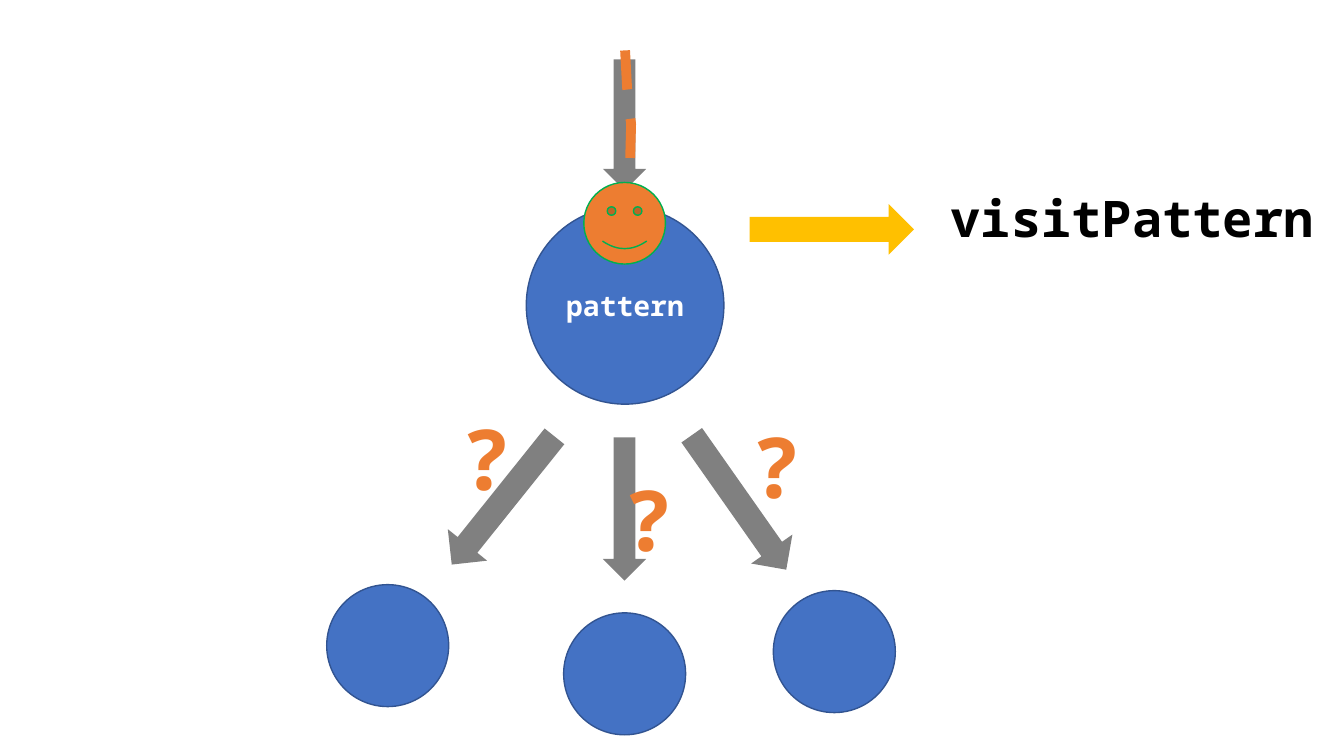
from pptx import Presentation
from pptx.dml.color import RGBColor
from pptx.enum.dml import MSO_LINE
from pptx.enum.shapes import MSO_SHAPE
from pptx.enum.text import MSO_ANCHOR, MSO_AUTO_SIZE, PP_ALIGN
from pptx.util import Pt

PX = 9144  # 100 px to the inch
FONT = "Noto Sans Mono"
BLUE = RGBColor(0x44, 0x72, 0xC4)
NAVY = RGBColor(0x32, 0x54, 0x91)
GREY = RGBColor(0x80, 0x80, 0x80)
ORANGE = RGBColor(0xED, 0x7D, 0x31)
GREEN = RGBColor(0x00, 0xB0, 0x50)
GOLD = RGBColor(0xFF, 0xC0, 0x00)
WHITE = RGBColor(0xFF, 0xFF, 0xFF)
BLACK = RGBColor(0, 0, 0)


def write(shape, text, size, color, align=PP_ALIGN.LEFT, anchor=MSO_ANCHOR.TOP):
    frame = shape.text_frame
    frame.word_wrap = False
    frame.vertical_anchor = anchor
    para = frame.paragraphs[0]
    para.alignment = align
    span = para.add_run()
    span.text = text
    span.font.name = FONT
    span.font.size = Pt(size)
    span.font.bold = True
    span.font.color.rgb = color


def add_label(page, box, text, size, color):
    label = page.shapes.add_textbox(*(length * PX for length in box))
    label.text_frame.auto_size = MSO_AUTO_SIZE.SHAPE_TO_FIT_TEXT
    write(label, text, size, color)


def add_figure(page, kind, box, fill, line=None, rotation=0):
    figure = page.shapes.add_shape(kind, *(length * PX for length in box))
    figure.shadow.inherit = False
    figure.rotation = rotation
    figure.fill.solid()
    figure.fill.fore_color.rgb = fill
    if line is None:
        figure.line.fill.background()
    else:
        figure.line.color.rgb = line
        figure.line.width = Pt(1)
    return figure


def add_node(page, left, top, size):
    return add_figure(page, MSO_SHAPE.OVAL, (left, top, size, size), BLUE, NAVY)


def add_arrow(page, box, fill=GREY, rotation=0):
    add_figure(page, MSO_SHAPE.DOWN_ARROW, box, fill, rotation=rotation)


def add_visitor_trail(page, left, top):
    """Dashed path along which the visitor came down."""
    bends = [(2, 37), (3, 46), (4, 58), (6, 73), (5, 110), (4, 139)]
    builder = page.shapes.build_freeform(left, top, scale=PX)
    builder.add_line_segments([(left + x, top + y) for x, y in bends], close=False)
    trail = builder.convert_to_shape()
    trail.shadow.inherit = False
    trail.fill.background()
    trail.line.color.rgb = ORANGE
    trail.line.width = Pt(7)
    trail.line.dash_style = MSO_LINE.DASH


def add_visited_node(page, left, top, size):
    """Pattern node with the visitor on its top edge and the way it came."""
    center = left + size // 2
    node = add_node(page, left, top, size)
    write(node, "pattern", 20, WHITE, PP_ALIGN.CENTER, MSO_ANCHOR.MIDDLE)
    add_arrow(page, (center - 22, top - 146, 43, 130))
    add_figure(page, MSO_SHAPE.SMILEY_FACE, (center - 41, top - 24, 81, 81), ORANGE, GREEN)
    add_visitor_trail(page, center, top - 155)


def add_children(page, left, top):
    """Three child nodes, each with its arrow and a question mark."""
    children = [
        # node, arrow box, rotation, question mark
        ((0, 182), (150, 17, 50, 163), 38.7, (124, 0)),
        ((235, 210), (274, 36, 43, 142), 0, (285, 61)),
        ((443, 188), (384, 19, 50, 163), 324.9, (412, 8)),
    ]
    for (node_x, node_y), (x, y, width, height), rotation, (mark_x, mark_y) in children:
        add_node(page, left + node_x, top + node_y, 121)
        add_arrow(page, (left + x, top + y, width, height), rotation=rotation)
        add_label(page, (left + mark_x, top + mark_y, 71, 111), "?", 60, ORANGE)


def add_callback(page, left, top):
    """Arrow from the visited node to the method it calls."""
    add_arrow(page, (left + 57, top - 35, 50, 163), GOLD, rotation=270)
    add_label(page, (left + 190, top, 384, 71), "visitPattern", 36, BLACK)


def main():
    deck = Presentation()
    deck.slide_width = 1333 * PX
    deck.slide_height = 750 * PX
    page = deck.slides.add_slide(deck.slide_layouts[6])
    add_visited_node(page, 522, 205, 196)
    add_children(page, 324, 398)
    add_callback(page, 743, 181)
    deck.save("out.pptx")


if __name__ == "__main__":
    main()
